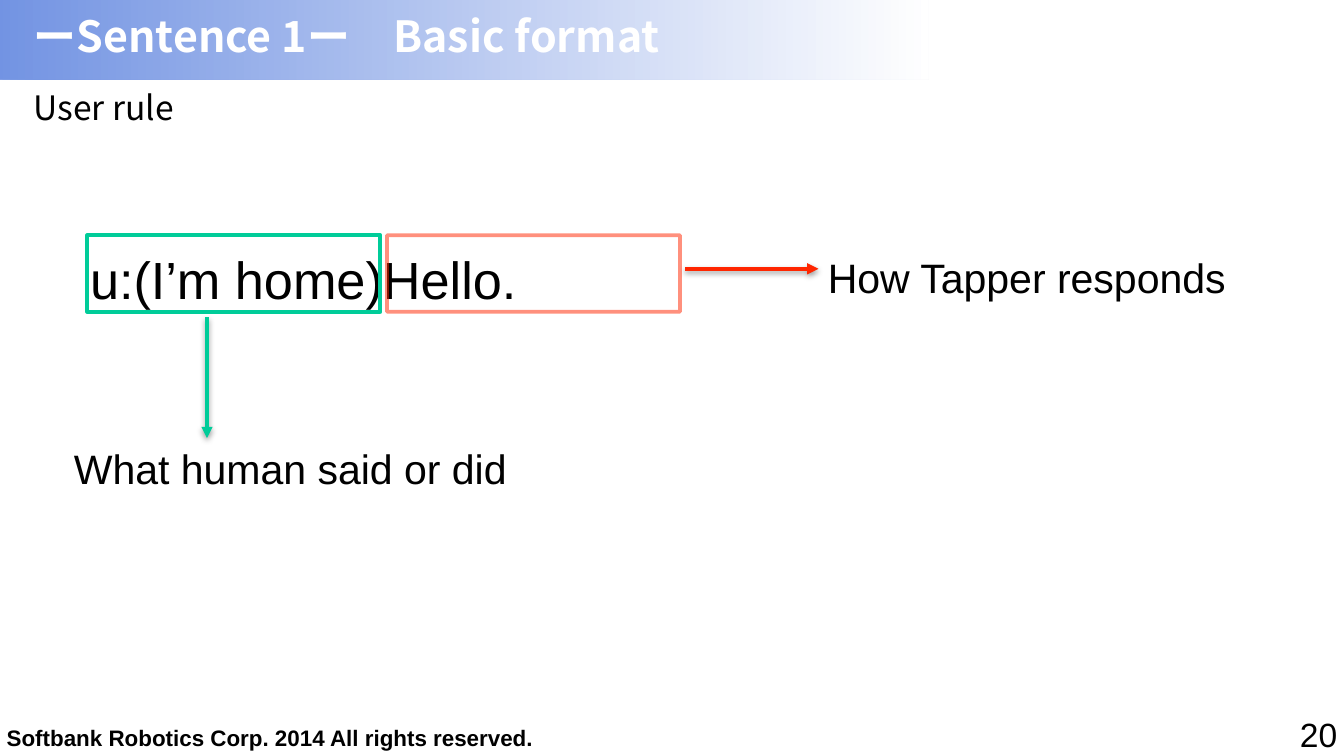
from lxml.etree import SubElement
from pptx import Presentation
from pptx.dml.color import RGBColor
from pptx.enum.shapes import MSO_CONNECTOR as Connector, MSO_SHAPE as Shape
from pptx.enum.text import MSO_ANCHOR as Anchor, PP_ALIGN as Align
from pptx.oxml.ns import qn
from pptx.util import Inches, Pt

WIDTH = 10
HEIGHT = WIDTH * 9 / 16
COLORS = {"black": "000000", "white": "FFFFFF", "blue": "003CCC",
          "green": "00CC99", "red": "FF2700", "arrow red": "FF2600"}
SANS, CJK = "Arial", "Noto Sans CJK JP"

# The two parts of the rule sit in equal frames, side by side
FRAME_LEFT, FRAME_TOP, FRAME_WIDTH, FRAME_HEIGHT, FRAME_GAP = 0.65, 1.75, 2.18, 0.57, 0.05
FRAMES = [("green", 100), ("red", 51)]  # line colour, opacity in percent
ARROWS = [((1.54, 2.36), (1.54, 3.26), "green"),
          ((5.1, 2), (6.09, 2), "arrow red")]

TEXTS = [  # text, (left, top, width, height), format
    ("Softbank Robotics Corp. 2014 All rights reserved.", (0, 5.35, 4.03, 0.29),
     dict(size=12, bold=True, anchor=Anchor.BOTTOM, wrap=False)),
    ("ーSentence 1ー　Basic format", (0.2, 0.01, 9.63, 0.51),
     dict(size=23, bold=True, font=CJK, color="white", anchor=Anchor.MIDDLE)),
    ("20", (7.67, 5.26, 2.33, 0.39), dict(size=18, align=Align.RIGHT)),
    ("u:(I’m home)Hello.", (0.62, 1.79, 9.13, 0.57), dict(size=28)),
    ("What human said or did", (0.5, 3.25, 3.45, 0.47), dict(size=22, wrap=False)),
    ("How Tapper responds", (6.11, 1.83, 3.16, 0.47), dict(size=22, wrap=False)),
    ("User rule", (0.2, 0.63, 9.63, 0.41), dict(size=18, font=CJK, spacing=0.9)),
]


def rgb(name):
    return RGBColor.from_string(COLORS[name])


def set_opacity(shape, percent):
    """Give every explicit colour of the shape the same opacity."""
    for color in shape.element.spPr.iter(qn("a:srgbClr")):
        SubElement(color, qn("a:alpha"), val=str(percent * 1000))


def add_rectangle(slide, left, top, width, height):
    box = slide.shapes.add_shape(Shape.RECTANGLE, *map(Inches, (left, top, width, height)))
    box.shadow.inherit = False
    return box


def add_banner(slide):
    banner = add_rectangle(slide, -0.26, -0.8, 7.17, 1.39)
    banner.line.fill.background()
    banner.fill.gradient()
    banner.fill.gradient_angle = 0
    for stop, name, position in zip(banner.fill.gradient_stops, ("blue", "white"), (0, 1)):
        stop.color.rgb = rgb(name)
        stop.position = position
    set_opacity(banner, 57)


def add_frame(slide, column, color, opacity):
    left = FRAME_LEFT + column * (FRAME_WIDTH + FRAME_GAP)
    frame = add_rectangle(slide, left, FRAME_TOP, FRAME_WIDTH, FRAME_HEIGHT)
    frame.fill.background()
    frame.line.color.rgb = rgb(color)
    frame.line.width = Pt(2)
    if opacity < 100:
        set_opacity(frame, opacity)


def add_arrow(slide, start, end, color):
    arrow = slide.shapes.add_connector(Connector.STRAIGHT, *map(Inches, start + end))
    arrow.line.color.rgb = rgb(color)
    arrow.line.width = Pt(2)
    properties = arrow.element.spPr
    SubElement(properties.find(qn("a:ln")), qn("a:tailEnd"), type="triangle")
    effects = SubElement(properties, qn("a:effectLst"))
    shadow = SubElement(effects, qn("a:outerShdw"), blurRad=str(Pt(3)), dist=str(Pt(1.6)),
                        dir="5400000", rotWithShape="0")
    shade = SubElement(shadow, qn("a:srgbClr"), val=COLORS["black"])
    SubElement(shade, qn("a:alpha"), val="38000")


def add_text(slide, text, place, *, size, font=SANS, color="black", bold=False,
             align=Align.LEFT, anchor=Anchor.TOP, wrap=True, spacing=None):
    box = slide.shapes.add_textbox(*map(Inches, place))
    frame = box.text_frame
    frame.word_wrap = wrap
    frame.vertical_anchor = anchor
    frame.margin_left = frame.margin_right = Inches(0.05)
    frame.margin_top = frame.margin_bottom = Inches(0.05)
    para = frame.paragraphs[0]
    para.alignment = align
    para.line_spacing = spacing
    span = para.add_run()
    span.text = text
    span.font.size = Pt(size)
    span.font.name = font
    span.font.bold = bold
    span.font.color.rgb = rgb(color)
    SubElement(span.font._element, qn("a:ea"), typeface=font)


def main():
    deck = Presentation()
    deck.slide_width, deck.slide_height = Inches(WIDTH), Inches(HEIGHT)
    page = deck.slides.add_slide(deck.slide_layouts[6])
    add_banner(page)
    for text, place, style in TEXTS:
        add_text(page, text, place, **style)
    for column, (color, opacity) in enumerate(FRAMES):
        add_frame(page, column, color, opacity)
    for start, end, color in ARROWS:
        add_arrow(page, start, end, color)
    deck.save("out.pptx")


if __name__ == "__main__":
    main()
